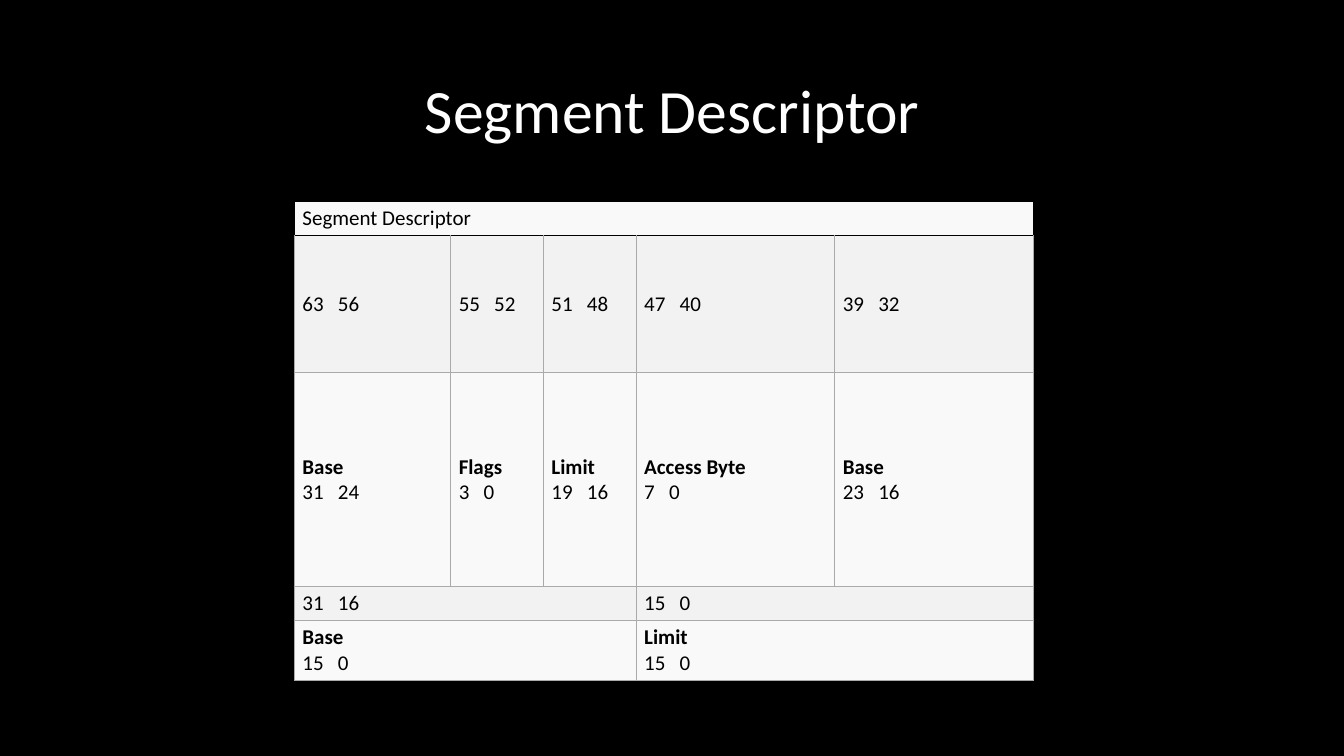
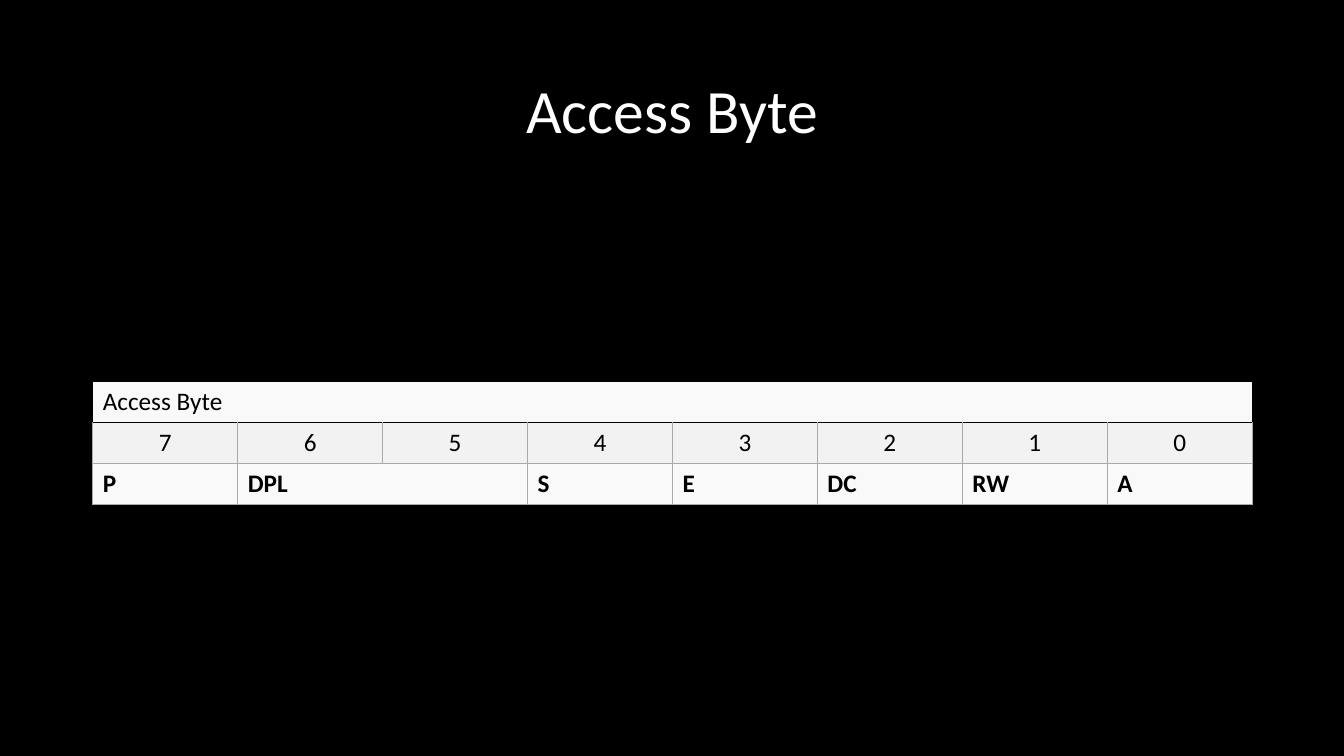
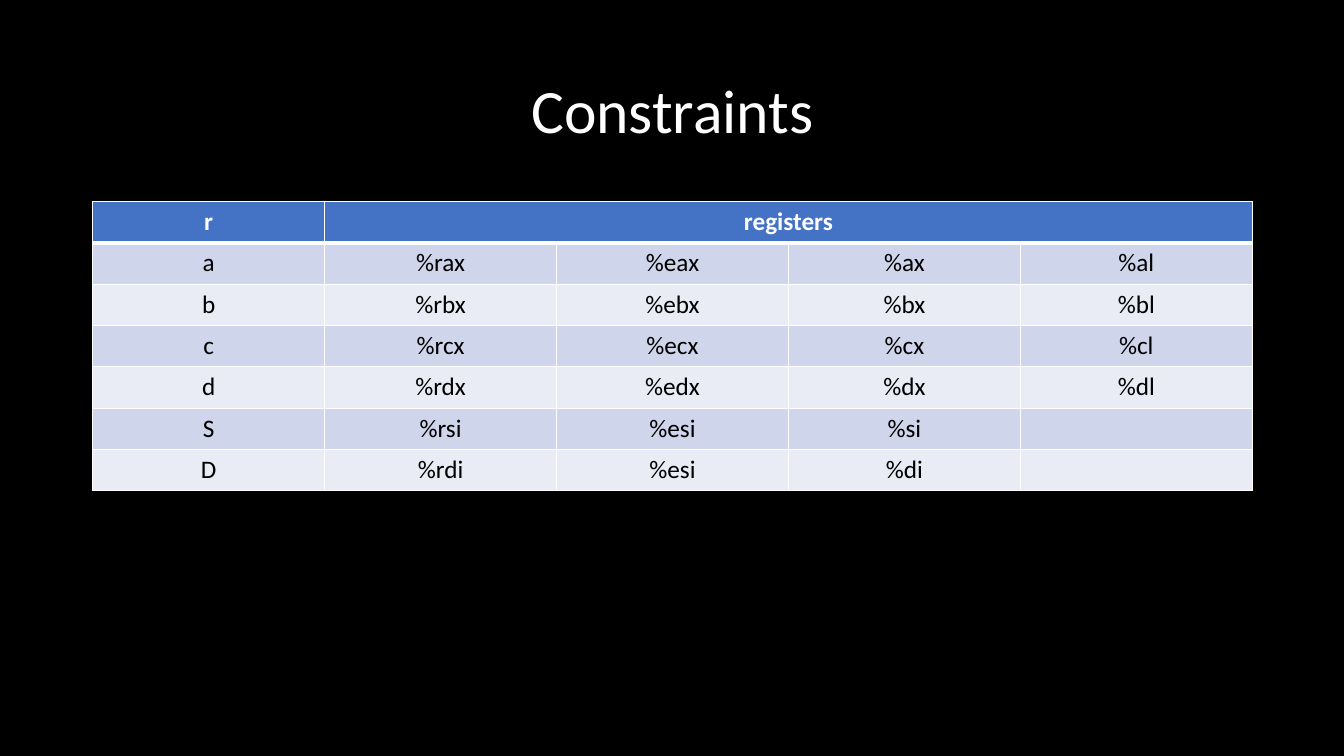
from dataclasses import dataclass

from lxml.etree import SubElement
from pptx import Presentation
from pptx.dml.color import RGBColor
from pptx.enum.text import MSO_ANCHOR, PP_ALIGN
from pptx.oxml.ns import qn
from pptx.util import Inches, Pt

BLACK = RGBColor(0x00, 0x00, 0x00)
WHITE = RGBColor(0xFF, 0xFF, 0xFF)
GRID = RGBColor(0xAA, 0xAA, 0xAA)
PALE = RGBColor(0xF9, 0xF9, 0xF9)
GREY = RGBColor(0xF2, 0xF2, 0xF2)
BLUE = RGBColor(0x44, 0x72, 0xC4)
BLUE_MID = RGBColor(0xCF, 0xD5, 0xEA)
BLUE_PALE = RGBColor(0xE9, 0xEB, 0xF5)

FONT = "Calibri"
NO_STYLE = "{2D5ABB26-0587-4C30-8999-92F81FD0307C}"
LEFT, CONTENT_WIDTH = 0.92, 11.5
ROW_HEIGHT = 0.41

# Edges of a cell: side -> (colour, points)
HEADER_EDGES = {side: (BLACK, 0.75) for side in "LRTB"}
GRID_EDGES = {side: (GRID, 0.75) for side in "LRB"}
WHITE_EDGES = {side: (WHITE, 1) for side in "LRB"}
BLUE_HEADER_EDGES = {**WHITE_EDGES, "T": (WHITE, 1), "B": (WHITE, 3)}


@dataclass
class Row:
    """One table row; None continues the cell to its left, a pair is (bold label, value)."""
    cells: list
    fill: RGBColor
    edges: dict
    height: float = ROW_HEIGHT
    align: PP_ALIGN = PP_ALIGN.LEFT
    bold: bool = False
    color: RGBColor = BLACK


def bits(high, low):
    return f"{high}   {low}"


DESCRIPTOR_ROWS = [
    Row(["Segment Descriptor", None, None, None, None], PALE, HEADER_EDGES, 0.34),
    Row([bits(63, 56), bits(55, 52), bits(51, 48), bits(47, 40), bits(39, 32)],
        GREY, GRID_EDGES, 1.36),
    Row([("Base", bits(31, 24)), ("Flags", bits(3, 0)), ("Limit", bits(19, 16)),
         ("Access Byte", bits(7, 0)), ("Base", bits(23, 16))], PALE, GRID_EDGES, 2.12),
    Row([bits(31, 16), None, None, bits(15, 0), None], GREY, GRID_EDGES, 0.34),
    Row([("Base", bits(15, 0)), None, None, ("Limit", bits(15, 0)), None],
        PALE, GRID_EDGES, 0.59),
]

ACCESS_ROWS = [
    Row(["Access Byte"] + [None] * 7, PALE, HEADER_EDGES),
    Row([str(bit) for bit in range(7, -1, -1)], GREY, GRID_EDGES, align=PP_ALIGN.CENTER),
    Row(["P", "DPL", None, "S", "E", "DC", "RW", "A"], PALE, GRID_EDGES, bold=True),
]

REGISTERS = [
    ["a", "%rax", "%eax", "%ax", "%al"],
    ["b", "%rbx", "%ebx", "%bx", "%bl"],
    ["c", "%rcx", "%ecx", "%cx", "%cl"],
    ["d", "%rdx", "%edx", "%dx", "%dl"],
    ["S", "%rsi", "%esi", "%si", ""],
    ["D", "%rdi", "%esi", "%di", ""],
]
CONSTRAINT_ROWS = [
    Row(["r", "registers", None, None, None], BLUE, BLUE_HEADER_EDGES,
        align=PP_ALIGN.CENTER, bold=True, color=WHITE),
] + [
    Row(names, (BLUE_MID, BLUE_PALE)[i % 2], WHITE_EDGES, align=PP_ALIGN.CENTER)
    for i, names in enumerate(REGISTERS)
]

SLIDES = [
    dict(title="Segment Descriptor", rows=DESCRIPTOR_ROWS, left=2.92, top=2,
         widths=[1.55, 0.92, 0.92, 1.97, 1.97], size=15, inset=(0.08, 0.04),
         anchor=MSO_ANCHOR.MIDDLE),
    dict(title="Access Byte", rows=ACCESS_ROWS, left=LEFT, top=3.78,
         widths=[CONTENT_WIDTH / 8] * 8, size=18, inset=(0.1, 0.05),
         anchor=MSO_ANCHOR.MIDDLE),
    dict(title="Constraints", rows=CONSTRAINT_ROWS, left=LEFT, top=2,
         widths=[CONTENT_WIDTH / 5] * 5, size=18, inset=(0.1, 0.05),
         anchor=MSO_ANCHOR.TOP),
]


def add_run(p, text, size, color, bold=False):
    r = p.add_run()
    r.text = text
    r.font.name = FONT
    r.font.size = Pt(size)
    r.font.bold = bold
    r.font.color.rgb = color


def add_title(slide, text):
    sp = slide.shapes.add_textbox(Inches(LEFT), Inches(0.4),
                                  Inches(CONTENT_WIDTH), Inches(1.45))
    tf = sp.text_frame
    tf.word_wrap = True
    tf.vertical_anchor = MSO_ANCHOR.MIDDLE
    p = tf.paragraphs[0]
    p.alignment = PP_ALIGN.CENTER
    p.line_spacing = 0.9
    add_run(p, text, 44, WHITE)


def set_edges(cell, edges):
    """Draw the cell borders; call before the fill, which must follow them in the XML."""
    tc_pr = cell._tc.get_or_add_tcPr()
    for side in "LRTB":
        if side in edges:
            color, width = edges[side]
            ln = SubElement(tc_pr, qn(f"a:ln{side}"), w=str(Pt(width)))
            fill = SubElement(ln, qn("a:solidFill"))
            SubElement(fill, qn("a:srgbClr"), val=str(color))


def fill_cell(cell, content, row, size, inset, anchor):
    set_edges(cell, row.edges)
    cell.fill.solid()
    cell.fill.fore_color.rgb = row.fill
    cell.vertical_anchor = anchor
    cell.margin_left = cell.margin_right = Inches(inset[0])
    cell.margin_top = cell.margin_bottom = Inches(inset[1])
    p = cell.text_frame.paragraphs[0]
    p.alignment = row.align
    if isinstance(content, tuple):
        label, content = content
        add_run(p, label, size, row.color, bold=True)
        p.add_line_break()
    if content:
        add_run(p, content, size, row.color, row.bold)


def add_grid(slide, rows, left, top, widths, **cell_style):
    frame = slide.shapes.add_table(
        len(rows), len(widths), Inches(left), Inches(top),
        Inches(sum(widths)), Inches(sum(row.height for row in rows)))
    table = frame.table
    table.first_row = table.horz_banding = False
    table._tbl.tblPr.find(qn("a:tableStyleId")).text = NO_STYLE
    for column, width in zip(table.columns, widths):
        column.width = Inches(width)
    for i, row in enumerate(rows):
        table.rows[i].height = Inches(row.height)
        starts = [j for j, content in enumerate(row.cells) if content is not None]
        for j, following in zip(starts, starts[1:] + [len(widths)]):
            cell = table.cell(i, j)
            if following - j > 1:
                cell.merge(table.cell(i, following - 1))
            fill_cell(cell, row.cells[j], row, **cell_style)


def main():
    prs = Presentation()
    prs.slide_width, prs.slide_height = Inches(13.33), Inches(7.5)
    background = prs.slide_master.background.fill
    background.solid()
    background.fore_color.rgb = BLACK
    for content in SLIDES:
        slide = prs.slides.add_slide(prs.slide_layouts[6])
        grid = dict(content)
        add_title(slide, grid.pop("title"))
        add_grid(slide, **grid)
    prs.save("out.pptx")


if __name__ == "__main__":
    main()
